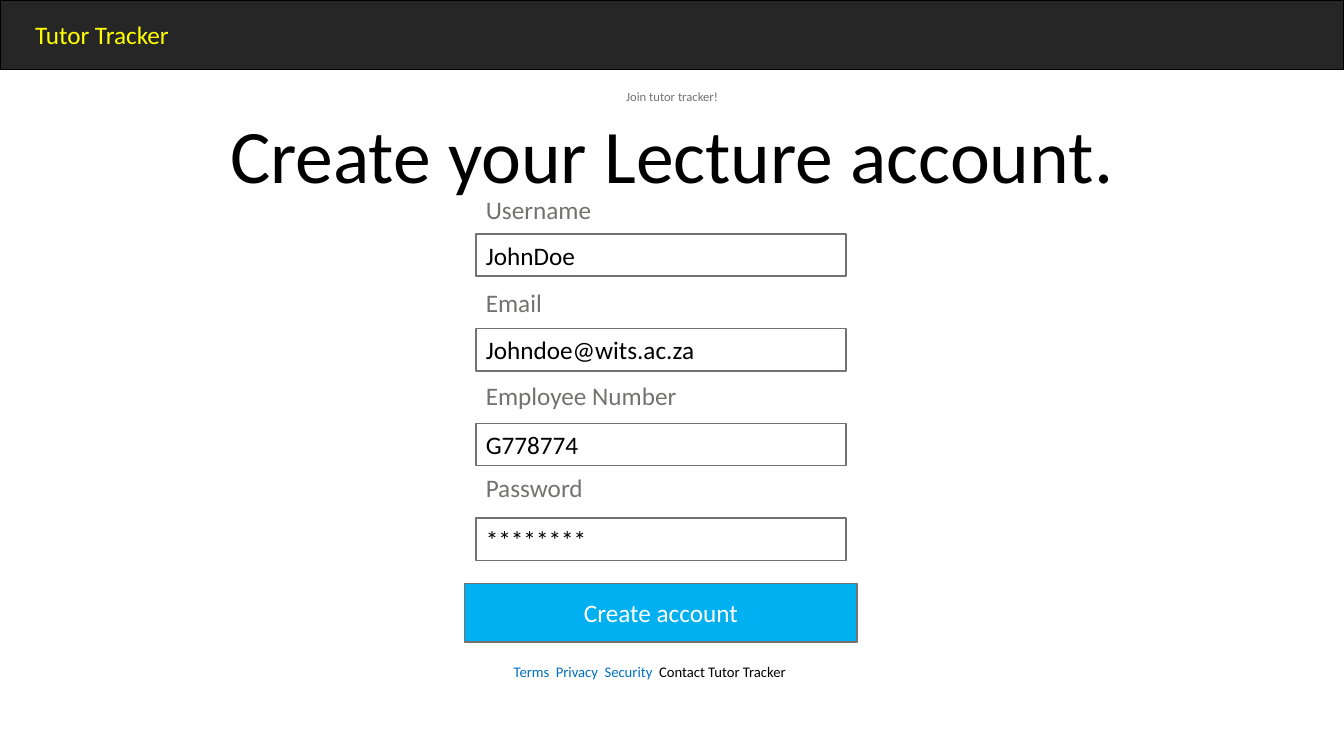
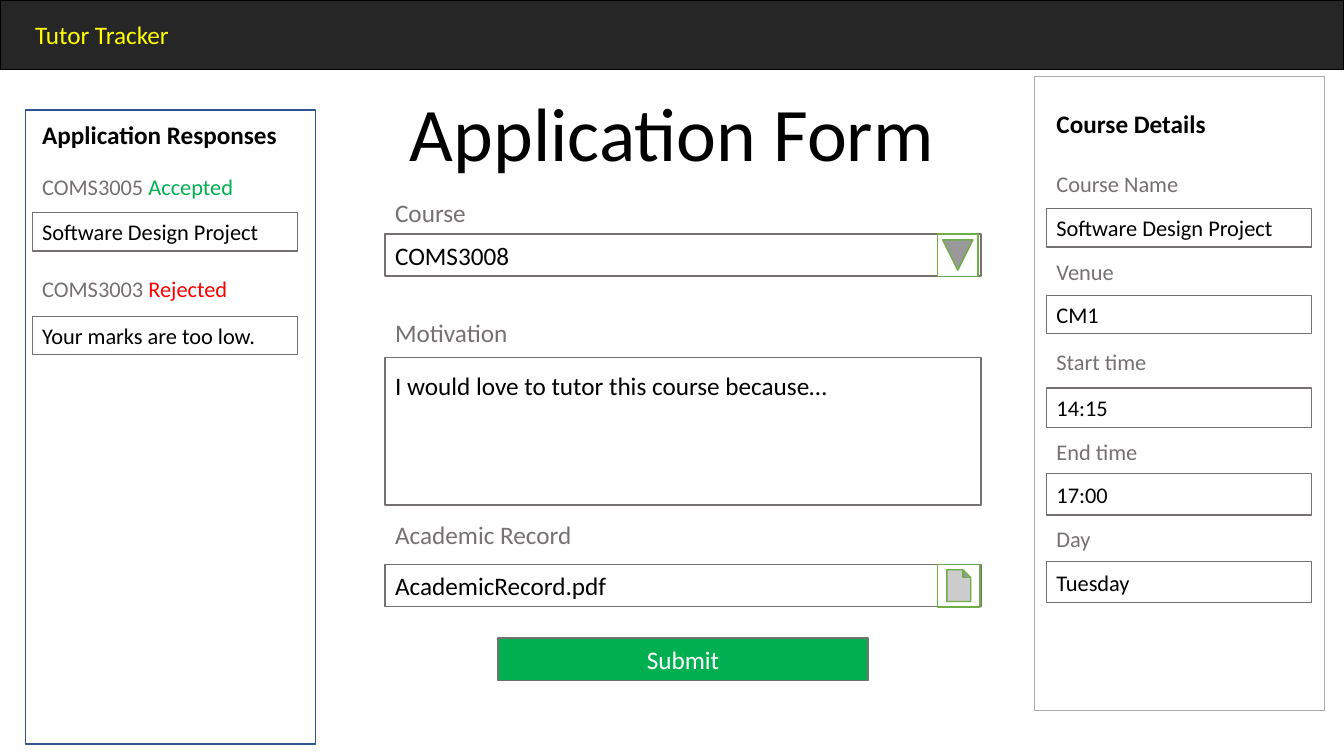
import pptx
import pptx.util
import pptx.dml.color
import pptx.enum.shapes
import pptx.enum.text

Inches = pptx.util.Inches
RGBColor = pptx.dml.color.RGBColor
SHAPE = pptx.enum.shapes.MSO_SHAPE
ALIGN = pptx.enum.text.PP_ALIGN
ANCHOR = pptx.enum.text.MSO_ANCHOR

BLACK = RGBColor(0x00, 0x00, 0x00)
WHITE = RGBColor(0xFF, 0xFF, 0xFF)
DARK = RGBColor(0x26, 0x26, 0x26)
YELLOW = RGBColor(0xFF, 0xFF, 0x00)
GRAY = RGBColor(0x76, 0x71, 0x71)
SILVER = RGBColor(0xAF, 0xAB, 0xAB)
NAVY = RGBColor(0x32, 0x54, 0x91)
BLUE = RGBColor(0x00, 0x70, 0xC0)
SKY = RGBColor(0x00, 0xB0, 0xF0)
GREEN = RGBColor(0x00, 0xB0, 0x50)
LEAF = RGBColor(0x70, 0xAD, 0x47)
RED = RGBColor(0xFF, 0x00, 0x00)

FONT = "Calibri"
WIDE, HIGH = 13.33, 7.5
ROW = 0.42

# Content: sign-up form
SIGNUP = [
    ("Username", "JohnDoe"),
    ("Email", "Johndoe@wits.ac.za"),
    ("Employee Number", "G778774"),
    ("Password", "********"),
]
LINKS = [("Terms  Privacy  Security", BLUE), ("  Contact Tutor Tracker", BLACK)]

# Content: label, value, label top, value top, value height
APPLY = [
    ("Course", "COMS3008", 1.9, 2.32, ROW),
    ("Motivation", "I would love to tutor this course because…", 3.09, 3.55, 1.46),
    ("Academic Record", "AcademicRecord.pdf", 5.09, 5.6, ROW),
]
DETAILS = [
    ("Course Name", "Software Design Project", 1.65, 2.07, 0.38),
    ("Venue", "CM1", 2.52, 2.93, 0.38),
    ("Start time", "14:15", 3.41, 3.85, 0.39),
    ("End time", "17:00", 4.3, 4.7, 0.41),
    ("Day", "Tuesday", 5.17, 5.57, 0.41),
]
REPLIES = [
    ([("COMS3005 ", GRAY), ("Accepted", GREEN)],
     "Software Design Project", 1.68, 2.11, 0.38),
    ([("COMS3003 ", GRAY), ("Rejected", RED)],
     "Your marks are too low.", 2.69, 3.14, 0.38),
]


def write(frame, text, size, color, bold=False, align=ALIGN.LEFT):
    """Fill a frame with a string, or with (text, colour) parts."""
    parts = [(text, color)] if isinstance(text, str) else text
    para = frame.paragraphs[0]
    para.alignment = align
    for words, tint in parts:
        run = para.add_run()
        run.text = words
        run.font.name = FONT
        run.font.size = pptx.util.Pt(size)
        run.font.bold = bold
        run.font.color.rgb = tint


def box(slide, x, y, w, h, fill=WHITE, line=None, kind=SHAPE.RECTANGLE):
    shape = slide.shapes.add_shape(kind, Inches(x), Inches(y), Inches(w), Inches(h))
    shape.shadow.inherit = False
    shape.fill.solid()
    shape.fill.fore_color.rgb = fill
    if line is None:
        shape.line.fill.background()
    else:
        shape.line.color.rgb = line
        shape.line.width = pptx.util.Pt(1)
    return shape


def panel(slide, x, y, w, h, text, size=18, color=BLACK, fill=WHITE,
          line=None, bold=False, align=ALIGN.LEFT):
    shape = box(slide, x, y, w, h, fill, line)
    frame = shape.text_frame
    frame.word_wrap = True
    frame.vertical_anchor = ANCHOR.MIDDLE
    write(frame, text, size, color, bold, align)
    return shape


def field(slide, x, w, row, size=18, high=ROW, wide=None):
    """Draw a label and its input box."""
    label, value, top, base, tall = row
    panel(slide, x, top, wide or w, high, label, size, GRAY, line=WHITE)
    entry = panel(slide, x, base, w, tall, value, size, line=GRAY)
    if tall > 1:
        entry.text_frame.vertical_anchor = ANCHOR.TOP
        entry.text_frame.margin_top = Inches(0.12)


def title(slide, y, text):
    panel(slide, 0, y, WIDE, 0.69, text, 54, align=ALIGN.CENTER)


def button(slide, x, y, w, h, text, fill):
    panel(slide, x, y, w, h, text, 18, WHITE, fill, GRAY, align=ALIGN.CENTER)


def sidebar(slide, x, y, line, inset, head, top, rows):
    """Draw a framed side column with a heading and fields."""
    box(slide, x, y, 2.88, 6.29, line=line)
    left = x + inset
    panel(slide, left, top, 2.63, ROW, head, line=WHITE, bold=True)
    for row in rows:
        field(slide, left, 2.63, row, 16, 0.35, 2.36)


def page(deck):
    """Add a slide with the shared top band."""
    slide = deck.slides.add_slide(deck.slide_layouts[6])
    box(slide, 0, 0, WIDE, 0.69, DARK, BLACK)
    brand = slide.shapes.add_textbox(Inches(0.25), Inches(0.14), Inches(1.68), Inches(0.4))
    brand.text_frame.word_wrap = True
    write(brand.text_frame, "Tutor Tracker", 18, YELLOW)
    return slide


def signup(deck):
    slide = page(deck)
    for i, (label, value) in enumerate(SIGNUP):
        field(slide, 4.72, 3.67, (label, value, 1.87 + 0.92 * i, 2.32 + 0.94 * i, ROW))
    panel(slide, 4.83, 0.75, 3.67, ROW, "Join tutor tracker!", 9, GRAY, align=ALIGN.CENTER)
    # The title lies over the first label, so its descenders stay whole
    title(slide, 1.18, "Create your Lecture account.")
    button(slide, 4.61, 5.79, 3.89, 0.58, "Create account", SKY)
    panel(slide, 4.61, 6.45, 3.67, ROW, LINKS, 10.5, align=ALIGN.CENTER)


def apply(deck):
    slide = page(deck)
    title(slide, 0.96, "Application Form")
    for row in APPLY:
        field(slide, 3.82, 5.91, row)
    # Icons for the course list and the file picker
    arrow = box(slide, 9.29, 2.33, ROW, 0.4, line=LEAF,
                kind=SHAPE.ACTION_BUTTON_BACK_OR_PREVIOUS)
    arrow.rotation = 270
    box(slide, 9.3, 5.6, ROW, ROW, line=LEAF, kind=SHAPE.ACTION_BUTTON_DOCUMENT)
    button(slide, 4.94, 6.33, 3.67, ROW, "Submit", GREEN)
    # Side columns
    sidebar(slide, 10.26, 0.76, SILVER, 0.12, "Course Details", 1.01, DETAILS)
    sidebar(slide, 0.25, 1.09, NAVY, 0.07, "Application Responses", 1.12, REPLIES)


def main():
    deck = pptx.Presentation()
    deck.slide_width = Inches(WIDE)
    deck.slide_height = Inches(HIGH)
    signup(deck)
    apply(deck)
    deck.save("out.pptx")


if __name__ == "__main__":
    main()
